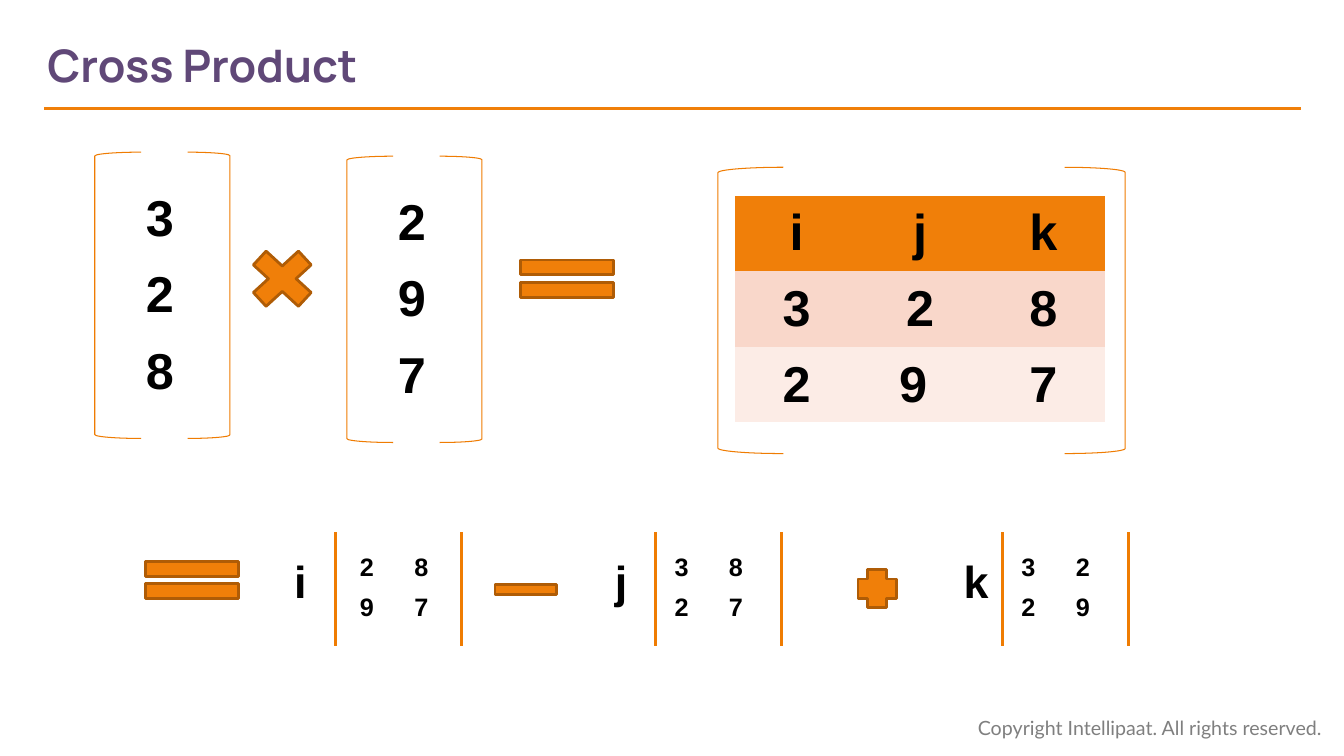
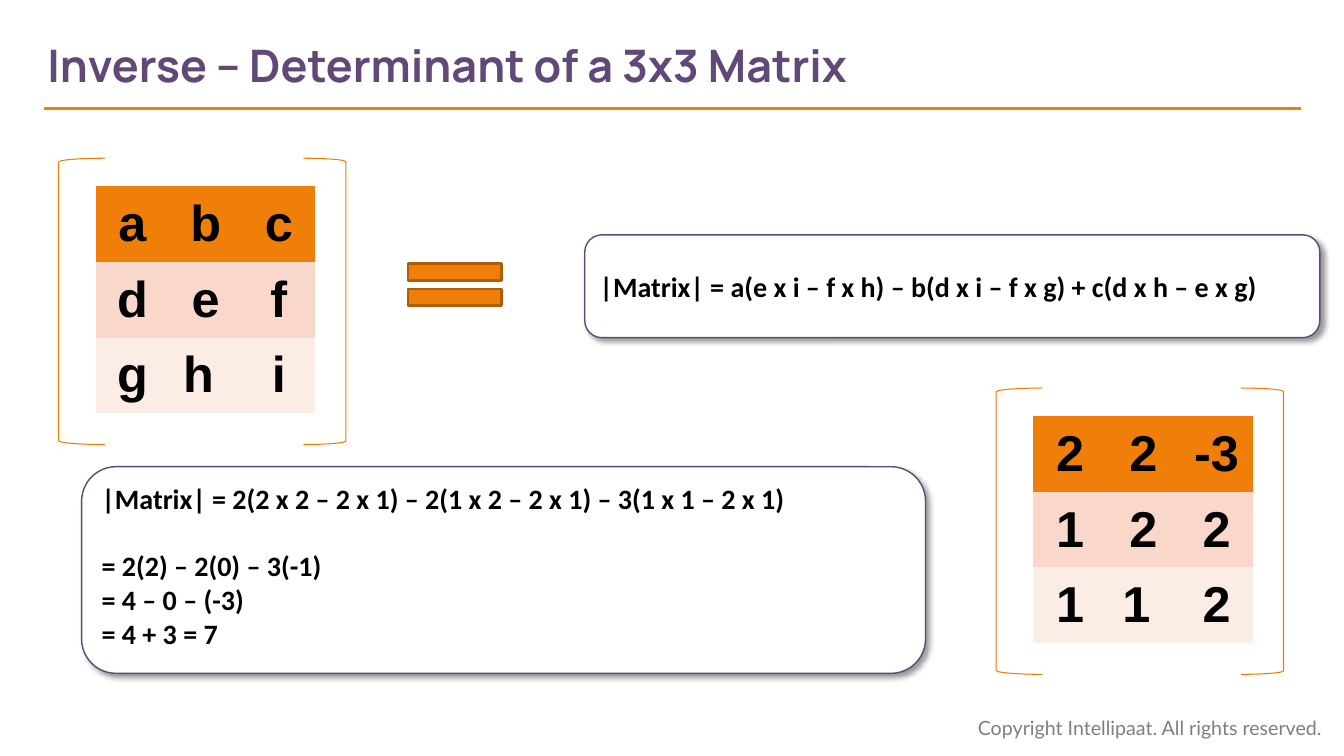
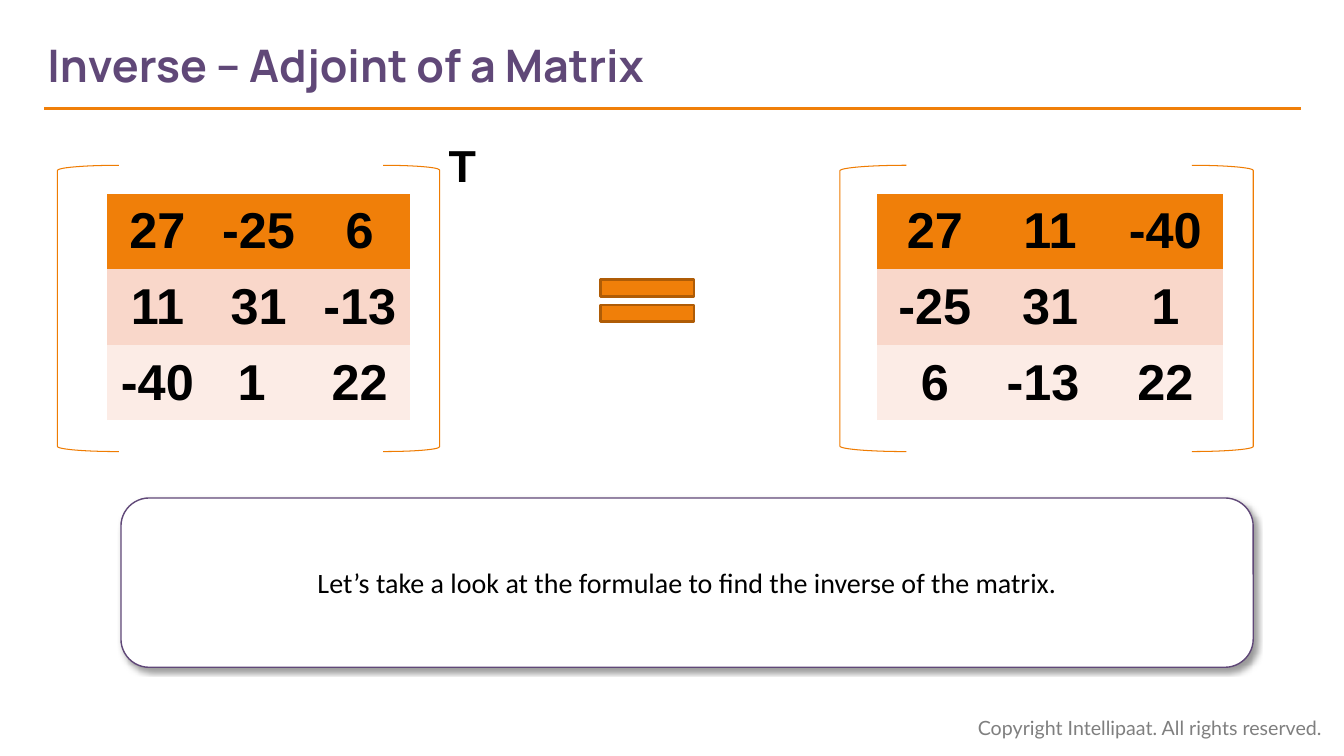
from lxml.etree import SubElement
from pptx import Presentation
from pptx.dml.color import RGBColor
from pptx.enum.shapes import MSO_CONNECTOR, MSO_SHAPE as SHAPE
from pptx.enum.text import MSO_ANCHOR as ANCHOR, PP_ALIGN as ALIGN
from pptx.oxml.ns import qn
from pptx.util import Pt

PX = 9144  # EMU per px, 100 px to the inch

ORANGE = RGBColor(0xF0, 0x7F, 0x09)
BRACKET_ORANGE = RGBColor(0xEF, 0x7C, 0x02)
DARK_ORANGE = RGBColor(0xAF, 0x5C, 0x06)
PINK = RGBColor(0xF9, 0xD7, 0xCA)
PALE_PINK = RGBColor(0xFC, 0xEC, 0xE6)
PURPLE = RGBColor(0x60, 0x48, 0x78)
GREY = RGBColor(0x7F, 0x7F, 0x7F)
BLACK = RGBColor(0, 0, 0)
WHITE = RGBColor(0xFF, 0xFF, 0xFF)

ROW_FILLS = (ORANGE, PINK, PALE_PINK)
NO_STYLE = "{2D5ABB26-0587-4C30-8999-92F81FD0307C}"


def emu(*lengths):
    return [round(n * PX) for n in lengths]


def write(tf, text, *, size, font="Arial", color=BLACK, bold=True,
          align=ALIGN.LEFT, gap=0):
    """Fill a text frame, one paragraph a line; gap follows the first line."""
    for i, line in enumerate(text.split("\n")):
        p = tf.add_paragraph() if i else tf.paragraphs[0]
        p.alignment = align
        if i == 0 and gap:
            p.space_after = Pt(gap)
        r = p.add_run()
        r.text = line
        r.font.size, r.font.name, r.font.bold = Pt(size), font, bold
        r.font.color.rgb = color


def set_frame(tf, anchor, left=10):
    tf.word_wrap = True
    tf.vertical_anchor = anchor
    tf.margin_left, tf.margin_right = emu(left, 10)
    tf.margin_top, tf.margin_bottom = emu(5, 5)


def add_text(s, box, text, **fmt):
    tf = s.shapes.add_textbox(*emu(*box)).text_frame
    set_frame(tf, ANCHOR.TOP)
    write(tf, text, **fmt)


def add_line(s, x1, y1, x2, y2, color, width):
    line = s.shapes.add_connector(MSO_CONNECTOR.STRAIGHT, *emu(x1, y1, x2, y2))
    line.line.color.rgb = color
    line.line.width = Pt(width)
    SubElement(line._element.spPr, qn("a:effectLst"))


def add_shape(s, kind, box, fill, line, width):
    sp = s.shapes.add_shape(kind, *emu(*box))
    sp.shadow.inherit = False
    if fill is None:
        sp.fill.background()
    else:
        sp.fill.solid()
        sp.fill.fore_color.rgb = fill
    sp.line.color.rgb = line
    sp.line.width = Pt(width)
    return sp


def add_sign(s, kind, *box):
    add_shape(s, kind, box, ORANGE, DARK_ORANGE, 2)


def add_grid(s, x, y, width, heights, rows, fills=None, size=36,
             align=ALIGN.CENTER, anchor=ANCHOR.MIDDLE):
    """Table of equal columns, with one fill per row or none."""
    frame = s.shapes.add_table(len(rows), len(rows[0]),
                               *emu(x, y, width, sum(heights)))
    table = frame.table
    table.first_row = table.horz_banding = False
    for style in frame._element.iter(qn("a:tableStyleId")):
        style.text = NO_STYLE
    for i, values in enumerate(rows):
        table.rows[i].height = emu(heights[i])[0]
        for cell, value in zip(table.rows[i].cells, values):
            cell.vertical_anchor = anchor
            if fills:
                cell.fill.solid()
                cell.fill.fore_color.rgb = fills[i]
            else:
                cell.fill.background()
            write(cell.text_frame, value, size=size, align=align)


def add_matrix(s, x, y, w, rows, *, arm=46, inset=37, grid_w=218,
               row_h=75, fills=ROW_FILLS):
    """Bracketed matrix; arm is the left bracket's width."""
    h, right = 284, round(arm * 0.92)
    for kind, bx, bw in ((SHAPE.LEFT_BRACKET, x, arm),
                         (SHAPE.RIGHT_BRACKET, x + w - right, right)):
        add_shape(s, kind, (bx, y, bw, h), None, BRACKET_ORANGE, 0.75)
    add_grid(s, x + inset, y + 28, grid_w, [row_h] * len(rows), rows, fills)


def add_vector(s, x, y, values):
    add_matrix(s, x, y, 134, [[v] for v in values],
               grid_w=55, row_h=76, fills=None)


def add_minor(s, x, y, label, label_dx, grid_dx, rows):
    """Unit vector followed by its 2x2 determinant between bars."""
    add_text(s, (x - label_dx, y + 16, 83, 64), label, size=32)
    for bar in (x, x + 125):
        add_line(s, bar, y, bar, y + 113, BRACKET_ORANGE, 2)
    add_grid(s, x + grid_dx, y + 16, 108, [40, 42], rows, size=18,
             align=ALIGN.LEFT, anchor=ANCHOR.TOP)


def add_card(s, box, text, anchor=ANCHOR.MIDDLE, **fmt):
    """Rounded card with a soft shadow."""
    sp = add_shape(s, SHAPE.ROUNDED_RECTANGLE, box, WHITE, PURPLE, 1)
    effects = sp._element.spPr.find(qn("a:effectLst"))
    shadow = SubElement(effects, qn("a:outerShdw"), blurRad=str(Pt(4)),
                        dist=str(Pt(3)), dir="2700000", algn="tl",
                        rotWithShape="0")
    color = SubElement(shadow, qn("a:srgbClr"), val="000000")
    SubElement(color, qn("a:alpha"), val="40000")
    # A rounded rectangle already insets its text by its corner radius
    set_frame(sp.text_frame, anchor)
    write(sp.text_frame, text, size=20, font="Calibri", **fmt)


def new_slide(prs, title):
    """Title, rule and copyright line shared by all slides."""
    s = prs.slides.add_slide(prs.slide_layouts[5])
    head = s.shapes.title
    head.left, head.top, head.width, head.height = emu(47, 22, 947, 84)
    set_frame(head.text_frame, ANCHOR.MIDDLE, left=0)
    write(head.text_frame, title, size=32, font="Manrope", color=PURPLE)
    add_line(s, 1290, 108, 44, 108, ORANGE, 2.25)
    add_text(s, (960, 705, 367, 34),
             "Copyright Intellipaat. All rights reserved.",
             size=14, font="Lato", color=GREY, bold=False)
    return s


def cross_product(prs):
    s = new_slide(prs, "Cross Product")
    # Vectors and their product
    add_vector(s, 94, 151, "328")
    add_sign(s, SHAPE.MATH_MULTIPLY, 237, 237, 86, 79)
    add_vector(s, 344, 155, "297")
    add_sign(s, SHAPE.MATH_EQUAL, 500, 245, 125, 63)
    add_matrix(s, 712, 166, 404, ["ijk", "328", ["2", "9 ", "7"]],
               arm=65, inset=17, grid_w=367)
    # Expansion by minors
    add_sign(s, SHAPE.MATH_EQUAL, 128, 544, 125, 63)
    add_minor(s, 333, 528, "i", 51, 14, ["28", "97"])
    add_sign(s, SHAPE.RECTANGLE, 491, 580, 61, 10)
    add_minor(s, 650, 528, "j", 50, 9, ["38", "27"])
    add_sign(s, SHAPE.CROSS, 851, 565, 38, 38)
    add_minor(s, 994, 528, "k", 48, 9, ["32", "29"])


def determinant(prs):
    s = new_slide(prs, "Inverse – Determinant of a 3x3 Matrix")
    # General rule
    add_matrix(s, 58, 157, 285, ["abc", "def", ["g", "h ", "i"]])
    add_sign(s, SHAPE.MATH_EQUAL, 388, 247, 126, 71)
    add_card(s, (580, 233, 729, 102),
             "|Matrix| = a(e x i – f x h) – b(d x i – f x g) + c(d x h – e x g)")
    # Worked example
    add_matrix(s, 988, 385, 285,
               [["2", "2", "-3"], "122", ["1", "1 ", "2"]])
    add_card(s, (81, 463, 837, 205),
             "|Matrix| = 2(2 x 2 – 2 x 1) – 2(1 x 2 – 2 x 1) – 3(1 x 1 – 2 x 1)\n"
             "= 2(2) – 2(0) – 3(-1)\n"
             "= 4 – 0 – (-3)\n"
             "= 4 + 3 = 7", anchor=ANCHOR.TOP, gap=24)


def adjoint(prs):
    s = new_slide(prs, "Inverse – Adjoint of a Matrix")
    # Cofactors, transposed
    add_matrix(s, 57, 164, 379,
               [["27", "-25", "6"], ["11", "31", "-13"], ["-40", "1 ", "22"]],
               arm=61, inset=49, grid_w=301)
    add_text(s, (435, 132, 69, 64), "T", size=32)
    add_sign(s, SHAPE.MATH_EQUAL, 579, 263, 126, 71)
    # Adjoint
    add_matrix(s, 833, 164, 410,
               [["27", "11", "-40"], ["-25", "31", "1"], ["6", "-13 ", "22"]],
               arm=66, grid_w=343)
    add_card(s, (120, 494, 1123, 168),
             "Let’s take a look at the formulae to find the inverse of the matrix.",
             bold=False, align=ALIGN.CENTER)


def main():
    prs = Presentation()
    prs.slide_width, prs.slide_height = emu(1333, 750)
    for build in (cross_product, determinant, adjoint):
        build(prs)
    prs.save("out.pptx")


if __name__ == "__main__":
    main()
